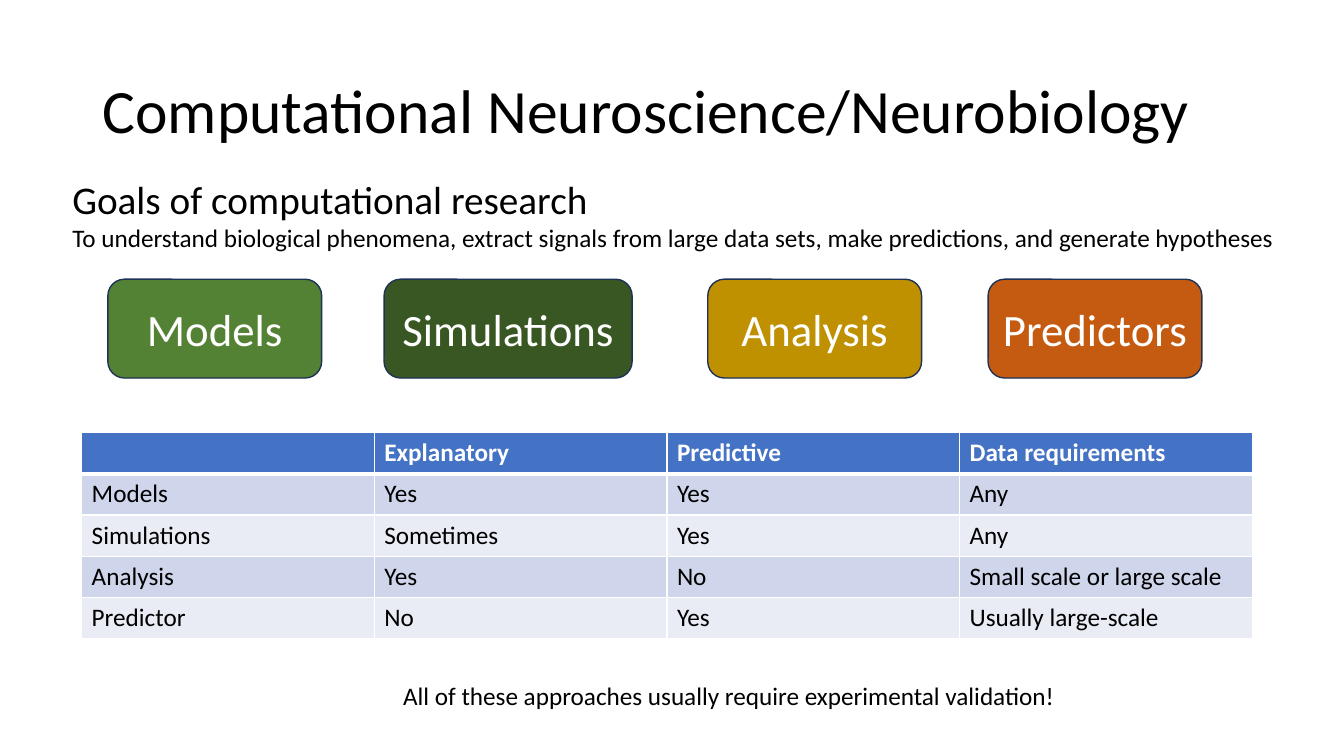
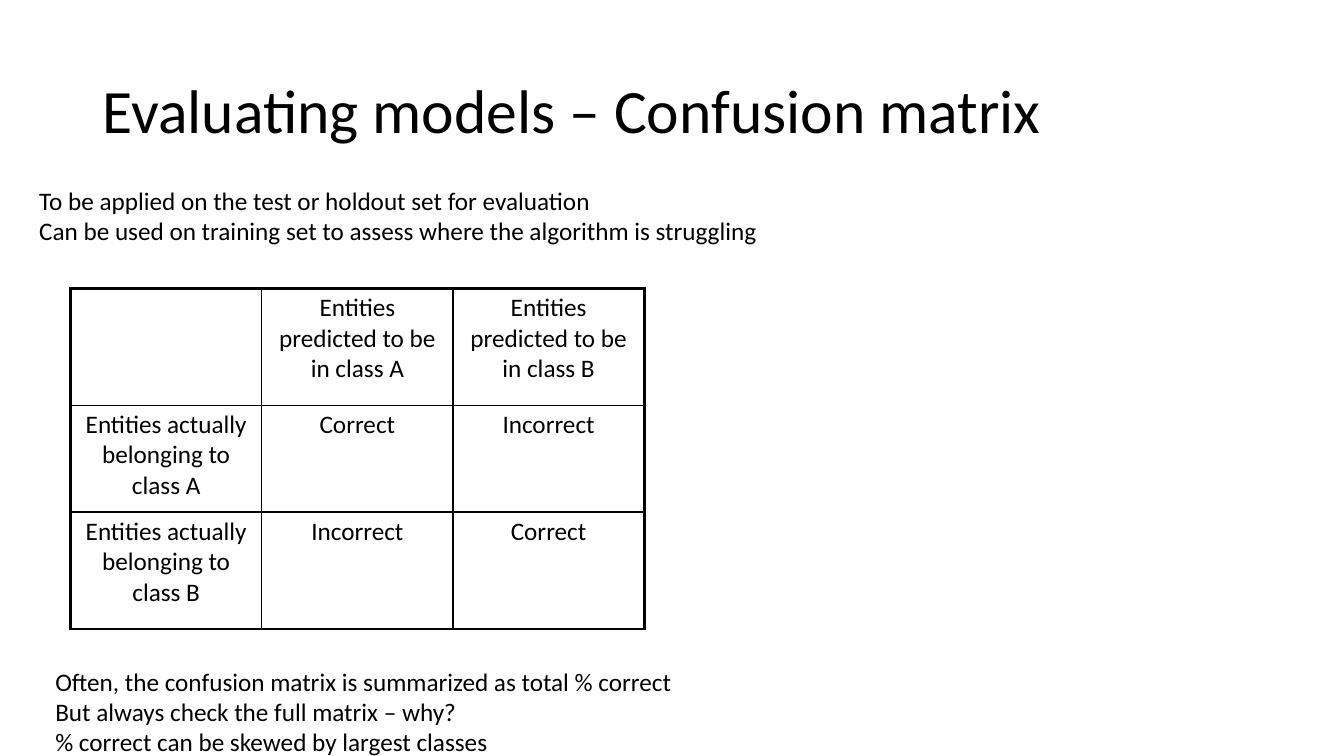
from lxml import etree
from pptx import Presentation
from pptx.dml.color import RGBColor
from pptx.enum.shapes import MSO_SHAPE
from pptx.enum.text import MSO_ANCHOR, PP_ALIGN
from pptx.oxml.ns import qn
from pptx.util import Inches, Pt

ROUNDED = MSO_SHAPE.ROUNDED_RECTANGLE
MIDDLE = MSO_ANCHOR.MIDDLE
LEFT, CENTER = PP_ALIGN.LEFT, PP_ALIGN.CENTER
FONT = "Calibri"
TITLE_BOX = (0.92, 0.4, 11.5, 1.45)
COLORS = {
    "text": "000000", "white": "FFFFFF", "outline": "1E3256",
    "header": "4472C4", "band_dark": "CFD5EA", "band_light": "E9EBF5",
    "models": "548235", "simulations": "385723",
    "analysis": "BF9000", "predictors": "C55A11",
}


def set_text(tf, lines, size, color="text", bold=False, align=LEFT):
    tf.word_wrap = True
    tf.text = "\n".join(lines)
    for p in tf.paragraphs:
        p.alignment = align
        for r in p.runs:
            r.font.name = FONT
            r.font.size = Pt(size)
            r.font.bold = bold
            r.font.color.rgb = RGBColor.from_string(COLORS[color])


def set_borders(cell, color, widths):
    tc_pr = cell._tc.get_or_add_tcPr()
    for side, width in zip("LRTB", widths):
        ln = etree.SubElement(tc_pr, qn(f"a:ln{side}"), w=str(Pt(width)))
        fill = etree.SubElement(ln, qn("a:solidFill"))
        etree.SubElement(fill, qn("a:srgbClr"), val=COLORS[color])


prs = Presentation()
prs.slide_width, prs.slide_height = Inches(13.33), Inches(7.5)

slides = []
for title in ["Computational Neuroscience/Neurobiology",
              "Evaluating models – Confusion matrix"]:
    s = prs.slides.add_slide(prs.slide_layouts[6])
    tf = s.shapes.add_textbox(*map(Inches, TITLE_BOX)).text_frame
    tf.vertical_anchor = MIDDLE
    set_text(tf, [title], 44)
    tf.paragraphs[0].line_spacing = 0.9
    slides.append(s)
goals, confusion = slides

goals_text = [
    "Goals of computational research",
    "To understand biological phenomena, extract signals from large data sets, "
    "make predictions, and generate hypotheses",
]
validation_text = ["All of these approaches usually require experimental validation!"]
usage_text = [
    "To be applied on the test or holdout set for evaluation",
    "Can be used on training set to assess where the algorithm is struggling",
]
summary_text = [
    "Often, the confusion matrix is summarized as total % correct",
    "But always check the full matrix – why?",
    "% correct can be skewed by largest classes",
]
for s, box, lines in [
    (goals, (0.62, 1.69, 12.3, 0.88), goals_text),
    (goals, (3.9, 6.7, 6.8, 0.4), validation_text),
    (confusion, (0.29, 1.79, 7.89, 0.71), usage_text),
    (confusion, (0.45, 6.56, 7.26, 1.01), summary_text),
]:
    tf = s.shapes.add_textbox(*map(Inches, box)).text_frame
    set_text(tf, lines, 18)
    if lines is goals_text:
        tf.paragraphs[0].runs[0].font.size = Pt(28)

for name, left, width in [("Models", 1.07, 2.12), ("Simulations", 3.81, 2.46),
                          ("Analysis", 7.02, 2.12), ("Predictors", 9.8, 2.12)]:
    sp = goals.shapes.add_shape(ROUNDED, Inches(left), Inches(2.77),
                                Inches(width), Inches(0.98))
    sp.shadow.inherit = False
    sp.fill.solid()
    sp.fill.fore_color.rgb = RGBColor.from_string(COLORS[name.lower()])
    sp.line.color.rgb = RGBColor.from_string(COLORS["outline"])
    sp.line.width = Pt(1)
    sp.text_frame.vertical_anchor = MIDDLE
    set_text(sp.text_frame, [name], 32, "white", align=CENTER)

approaches = [
    ["", "Explanatory", "Predictive", "Data requirements"],
    ["Models", "Yes", "Yes", "Any"],
    ["Simulations", "Sometimes", "Yes", "Any"],
    ["Analysis", "Yes", "No", "Small scale or large scale"],
    ["Predictor", "No", "Yes", "Usually large-scale"],
]
matrix = [
    ["", "Entities predicted to be in class A", "Entities predicted to be in class B"],
    ["Entities actually belonging to class A", "Correct", "Incorrect"],
    ["Entities actually belonging to class B", "Incorrect", "Correct"],
]
for s, rows, box, heights in [
    (goals, approaches, (0.81, 4.29, 11.61, 2.03), [0.41] * 5),
    (confusion, matrix, (0.7, 2.86, 5.69, 3.38), [1.16, 1.06, 1.16]),
]:
    last_row, last_col = len(rows) - 1, len(rows[0]) - 1
    table = s.shapes.add_table(last_row + 1, last_col + 1, *map(Inches, box)).table
    table.first_row = table.horz_banding = False
    for i, row in enumerate(rows):
        table.rows[i].height = Inches(heights[i])
        for j, value in enumerate(row):
            cell = table.cell(i, j)
            if rows is approaches:
                header = i == 0
                set_borders(cell, "white", (1, 1, 3 if i == 1 else 1, 3 if header else 1))
                band = "header" if header else "band_dark" if i % 2 else "band_light"
                cell.fill.solid()
                cell.fill.fore_color.rgb = RGBColor.from_string(COLORS[band])
                set_text(cell.text_frame, [value], 18, "white" if header else "text", header)
            else:
                on_edge = (j == 0, j == last_col, i == 0, i == last_row)
                set_borders(cell, "text", [2.25 if edge else 1 for edge in on_edge])
                cell.fill.background()
                cell.margin_left = cell.margin_right = Inches(0.08)
                cell.margin_top = cell.margin_bottom = Inches(0.04)
                set_text(cell.text_frame, [value], 18, align=CENTER)

prs.save("out.pptx")
